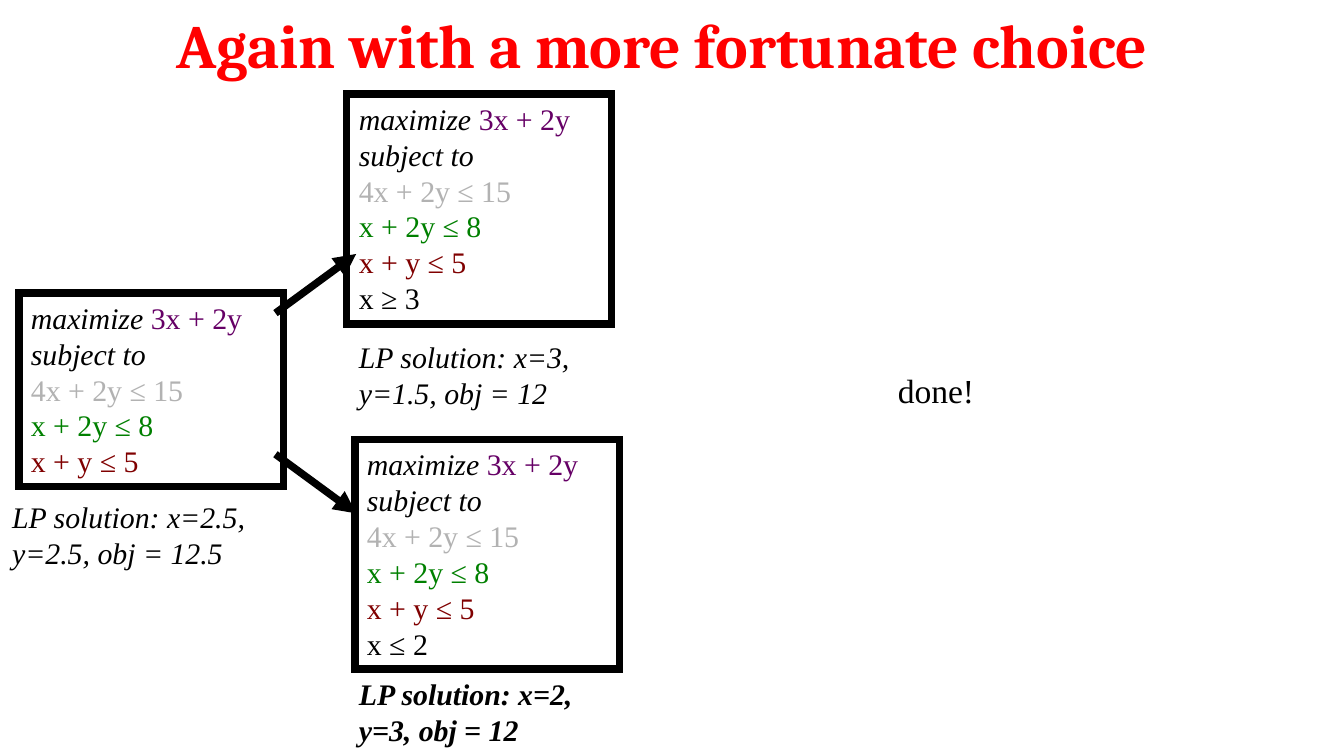
"""Build a slide showing a branch-and-bound tree for a small integer program."""
from pptx import Presentation
from pptx.dml.color import RGBColor
from pptx.enum import shapes, text
from pptx.oxml import ns, xmlchemy
from pptx.util import Inches, Pt

BLACK = RGBColor(0x00, 0x00, 0x00)
RED = RGBColor(0xFF, 0x00, 0x00)
PURPLE = RGBColor(0x66, 0x00, 0x66)
GRAY = RGBColor(0xB2, 0xB2, 0xB2)
GREEN = RGBColor(0x00, 0x80, 0x00)
MAROON = RGBColor(0x80, 0x00, 0x00)

BODY = {"name": "Times New Roman", "size": Pt(16), "bold": False, "italic": False}
ITALIC = {**BODY, "italic": True}
BOLD_ITALIC = {**ITALIC, "bold": True}
DONE = {**BODY, "size": Pt(18)}
HEADING = {"name": "Cambria", "size": Pt(33), "bold": True, "italic": False}

PROGRAM = [
    [("maximize ", ITALIC, BLACK), ("3x + 2y", BODY, PURPLE)],
    [("subject to", ITALIC, BLACK)],
    [("4x + 2y ≤ 15", BODY, GRAY)],
    [("x + 2y ≤ 8", BODY, GREEN)],
    [("x + y ≤ 5", BODY, MAROON)],
]
NODES = [
    (0.14, 2.18, 1.44, []),
    (2.58, 0.7, 1.71, ["x ≥ 3"]),
    (2.64, 3.27, 1.71, ["x ≤ 2"]),
]
SOLUTIONS = [
    (0, 3.66, "LP solution: x=2.5, y=2.5, obj = 12.5", ITALIC),
    (2.58, 2.47, "LP solution: x=3, y=1.5, obj = 12", ITALIC),
    (2.58, 4.98, "LP solution: x=2, y=3, obj = 12", BOLD_ITALIC),
]
BRANCHES = [(2.33, 1.89), (3.38, 3.82)]
BRANCH_LEFT, BRANCH_RIGHT = 2.05, 2.65
NODE_WIDTH, SOLUTION_WIDTH, SOLUTION_HEIGHT = 1.97, 2.11, 0.63
LINE_WIDTH = Pt(4)


def write(box, lines, align=text.PP_ALIGN.LEFT, wrap=True):
    """Fill a box with lines of (wording, format, colour) spans."""
    frame = box.text_frame
    settings = {
        "word_wrap": wrap,
        "vertical_anchor": text.MSO_ANCHOR.TOP,
        "margin_left": Inches(0.09),
        "margin_right": Inches(0.09),
        "margin_top": Inches(0.05),
        "margin_bottom": Inches(0.04),
    }
    for name, value in settings.items():
        setattr(frame, name, value)
    for index, line in enumerate(lines):
        para = frame.add_paragraph() if index else frame.paragraphs[0]
        para.alignment = align
        for wording, style, color in line:
            span = para.add_run()
            span.text = wording
            for name, value in style.items():
                setattr(span.font, name, value)
            span.font.color.rgb = color


def add_label(page, place, wording, style, color=BLACK, **options):
    """Add a text box holding one line of text."""
    box = page.shapes.add_textbox(*map(Inches, place))
    write(box, [[(wording, style, color)]], **options)


def draw_line(item, tag, **values):
    """Give a shape or connector a heavy black line with one extra line property."""
    item.line.color.rgb = BLACK
    item.line.width = LINE_WIDTH
    detail = xmlchemy.OxmlElement(tag)
    for name, value in values.items():
        detail.set(name, value)
    item.line._get_or_add_ln().append(detail)


def add_node(page, left, top, height, bounds):
    """Add a framed linear program with its extra bounds."""
    place = map(Inches, (left, top, NODE_WIDTH, height))
    box = page.shapes.add_shape(shapes.MSO_SHAPE.RECTANGLE, *place)
    box.shadow.inherit = False
    box.fill.background()
    draw_line(box, "a:miter", lim="800000")
    write(box, PROGRAM + [[(bound, BODY, BLACK)] for bound in bounds])


def add_branch(page, start, end):
    """Add an arrow from the root program to a subproblem."""
    ends = map(Inches, (BRANCH_LEFT, start, BRANCH_RIGHT, end))
    arrow = page.shapes.add_connector(shapes.MSO_CONNECTOR.STRAIGHT, *ends)
    draw_line(arrow, "a:tailEnd", type="triangle")
    properties = arrow._element.find(ns.qn("p:spPr"))
    properties.append(xmlchemy.OxmlElement("a:effectLst"))


def main():
    """Assemble and save the deck."""
    deck = Presentation()
    deck.slide_width = Inches(10)
    deck.slide_height = deck.slide_width * 9 // 16
    page = deck.slides.add_slide(deck.slide_layouts[6])
    add_label(page, (-0.15, 0, 10.15, 0.5), "Again with a more fortunate choice",
              HEADING, RED, align=text.PP_ALIGN.CENTER)
    for node in NODES:
        add_node(page, *node)
    for left, top, wording, style in SOLUTIONS:
        add_label(page, (left, top, SOLUTION_WIDTH, SOLUTION_HEIGHT), wording, style)
    for start, end in BRANCHES:
        add_branch(page, start, end)
    add_label(page, (6.59, 2.7, 0.76, 0.39), "done!", DONE, wrap=False)
    deck.save("out.pptx")


if __name__ == "__main__":
    main()
